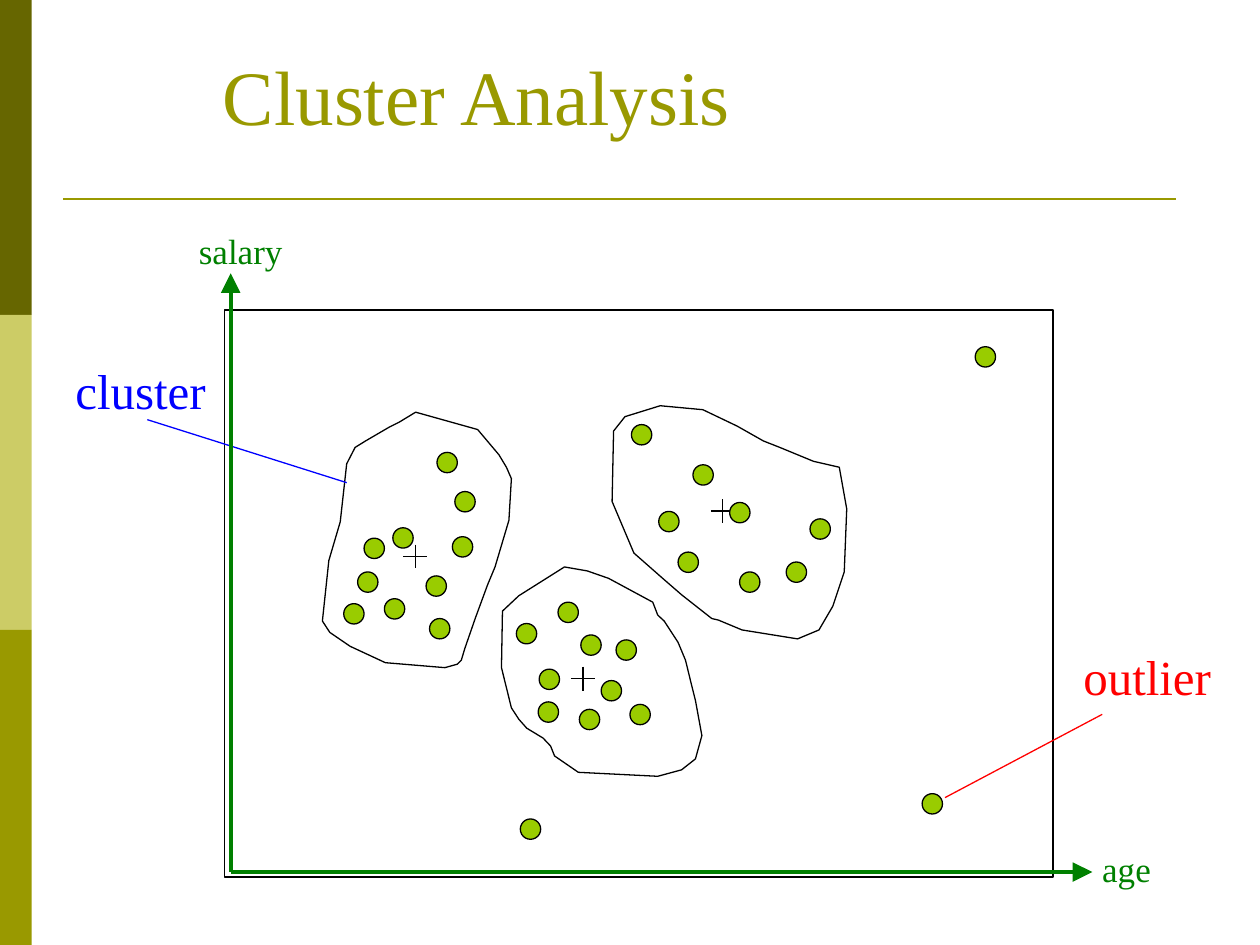
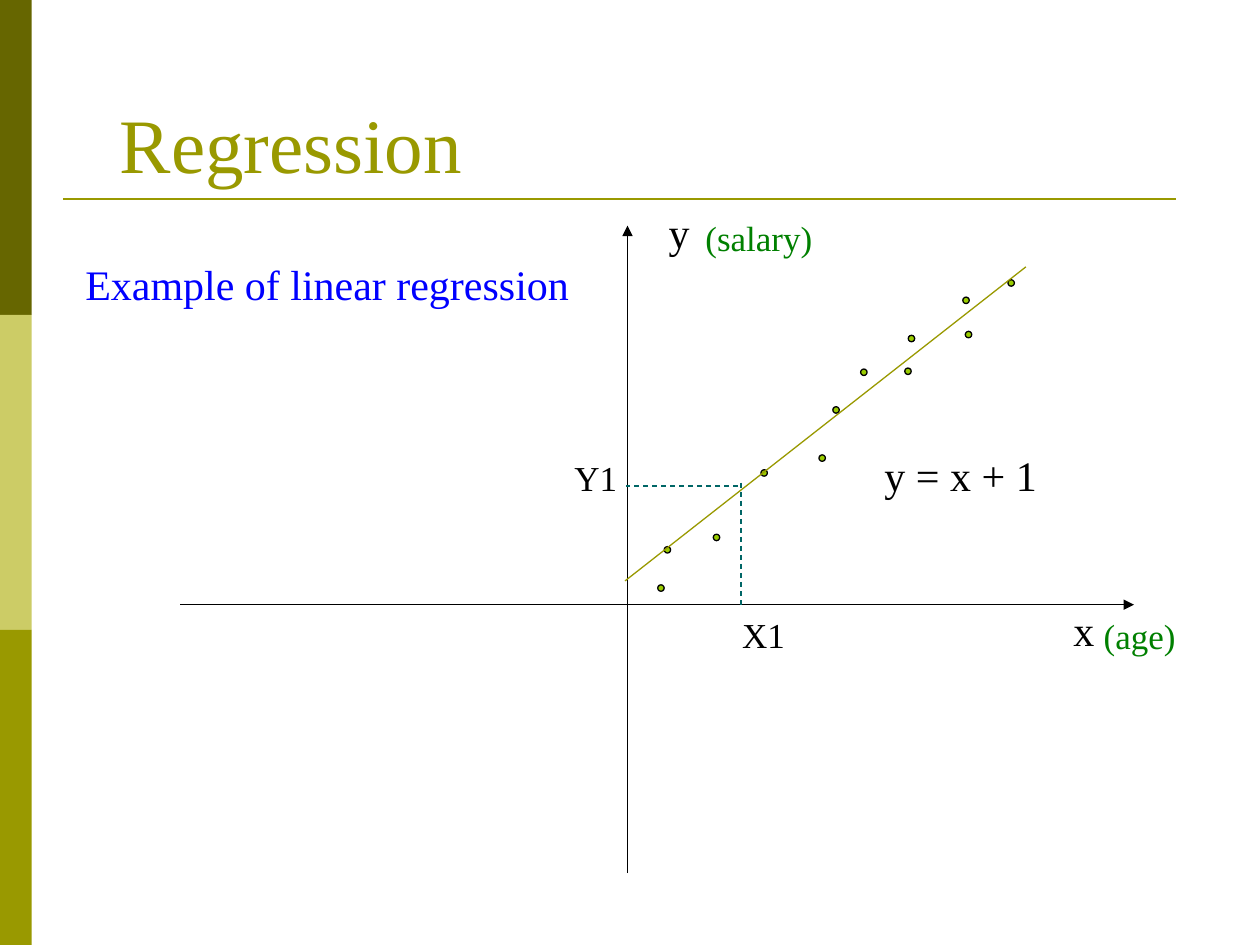
"""Build two data-mining slides: cluster analysis and linear regression."""
import pptx
import pptx.util
import pptx.dml.color
import pptx.enum.dml
import pptx.enum.shapes
import pptx.enum.text
import pptx.oxml

Cm = pptx.util.Cm
Pt = pptx.util.Pt
RGBColor = pptx.dml.color.RGBColor
SHAPE = pptx.enum.shapes.MSO_SHAPE

DARK_OLIVE = RGBColor(0x66, 0x66, 0x00)
PALE_OLIVE = RGBColor(0xCC, 0xCC, 0x66)
OLIVE = RGBColor(0x99, 0x99, 0x00)
LIME = RGBColor(0x99, 0xCC, 0x00)
GREEN = RGBColor(0x00, 0x80, 0x00)
TEAL = RGBColor(0x00, 0x66, 0x66)
BLUE = RGBColor(0x00, 0x00, 0xFF)
RED = RGBColor(0xFF, 0x00, 0x00)
BLACK = RGBColor(0x00, 0x00, 0x00)

FONT = "Times New Roman"
DRAWING = 'xmlns:a="http://schemas.openxmlformats.org/drawingml/2006/main"'
THIN = 0.75
BAND_W, BAND_H = 0.64, 6.35
POINT_SIZE, SAMPLE_SIZE = 0.41, 0.13
CROSS_ARM = 0.24

LEFT_POINTS = [
    (7.75, 12.07), (7.21, 11.53), (8.59, 11.61), (7.92, 10.64), (6.93, 12.17),
    (7.34, 10.85), (8.66, 12.47), (9.12, 10.82), (9.17, 9.91), (8.81, 9.12)]
RIGHT_POINTS = [
    (13.97, 9.37), (13.67, 11.13), (14.71, 10.13), (13.28, 10.31),
    (16.33, 10.46), (15.85, 11.33), (14.91, 11.53), (12.73, 8.56)]
MIDDLE_POINTS = [
    (10.41, 12.57), (12.42, 12.9), (11.68, 14.3), (12.12, 13.72), (10.87, 13.49),
    (10.85, 14.15), (11.25, 12.14), (11.71, 12.8), (12.7, 14.2)]
OUTLIERS = [(18.59, 16), (10.49, 16.51), (19.66, 6.99)]

LEFT_OUTLINE = [
    (9.83, 11.79), (9.58, 12.47), (9.37, 13.08), (9.3, 13.31), (9.22, 13.39),
    (8.97, 13.46), (7.77, 13.36), (7.06, 13.03), (6.65, 12.75), (6.5, 12.52),
    (6.63, 11.3), (6.86, 10.52), (6.99, 9.35), (7.16, 9.02), (7.37, 8.89),
    (7.85, 8.61), (8.05, 8.51), (8.38, 8.31), (9.63, 8.66), (10.06, 9.17),
    (10.21, 9.42), (10.31, 9.65), (10.26, 10.49), (9.98, 11.43)]
RIGHT_OUTLINE = [
    (16.92, 9.42), (17.07, 10.26), (17.02, 11.53), (16.79, 12.22), (16.51, 12.7),
    (16.08, 12.88), (14.96, 12.7), (14.48, 12.5), (14.35, 12.47), (13.74, 11.99),
    (13.36, 11.66), (12.78, 11.15), (12.34, 10.11), (12.37, 8.69), (12.6, 8.4),
    (13.31, 8.18), (14.17, 8.26), (14.86, 8.59), (15.39, 8.89), (15.72, 9.02),
    (16.4, 9.3)]
MIDDLE_OUTLINE = [
    (11.1, 15.04), (10.95, 14.88), (10.62, 14.68), (10.46, 14.5), (10.31, 14.27),
    (10.11, 13.46), (10.13, 12.32), (10.46, 12.01), (11.38, 11.43), (11.84, 11.51),
    (12.27, 11.66), (13.16, 12.14), (13.26, 12.4), (13.39, 12.52), (13.67, 12.95),
    (13.82, 13.31), (13.92, 13.72), (14.02, 14.12), (14.15, 14.83), (14.02, 15.3),
    (13.74, 15.52), (13.26, 15.65), (11.66, 15.57), (11.18, 15.24)]

CLUSTERS = [
    (LEFT_POINTS, LEFT_OUTLINE, (8.37, 11.22)),
    (RIGHT_POINTS, RIGHT_OUTLINE, (14.57, 10.3)),
    (MIDDLE_POINTS, MIDDLE_OUTLINE, (11.75, 13.68))]

SAMPLES = [
    (16.51, 9.17), (15.34, 9.47), (14.38, 10.77), (16.79, 8.2), (17.35, 7.44),
    (13.39, 11.02), (18.24, 7.42), (18.31, 6.76), (19.46, 6.68), (13.26, 11.79),
    (19.41, 5.99), (20.32, 5.64)]


def style_shape(sp, fill=None, line=None):
    """Give a shape a plain fill and line, or none, and no shadow."""
    sp.shadow.inherit = False
    if fill is None:
        sp.fill.background()
    else:
        sp.fill.solid()
        sp.fill.fore_color.rgb = fill
    if line is None:
        sp.line.fill.background()
    else:
        sp.line.color.rgb = line
        sp.line.width = Pt(THIN)


def add_box(s, kind, x, y, w, h, fill=None, line=None):
    """Add a preset shape."""
    sp = s.shapes.add_shape(kind, Cm(x), Cm(y), Cm(w), Cm(h))
    style_shape(sp, fill, line)


def add_dots(s, kind, places, size):
    """Add equal data points at their top left corners."""
    for x, y in places:
        add_box(s, kind, x, y, size, size, LIME, BLACK)


def add_line(s, start, end, color, width=THIN, arrow=None, dashed=False):
    """Add a straight line, with an arrowhead of the given size at its end."""
    cn = s.shapes.add_connector(
        pptx.enum.shapes.MSO_CONNECTOR.STRAIGHT,
        Cm(start[0]), Cm(start[1]), Cm(end[0]), Cm(end[1]))
    cn.line.color.rgb = color
    cn.line.width = Pt(width)
    if dashed:
        cn.line.dash_style = pptx.enum.dml.MSO_LINE.DASH
    if arrow:
        cn.line._get_or_add_ln().append(pptx.oxml.parse_xml(
            f'<a:tailEnd {DRAWING} type="triangle" w="{arrow}" len="{arrow}"/>'))
    cn._element.spPr.append(pptx.oxml.parse_xml(f"<a:effectLst {DRAWING}/>"))


def add_cross(s, x, y):
    """Mark a cluster centre with a plus sign."""
    add_line(s, (x - CROSS_ARM, y), (x + CROSS_ARM, y), BLACK)
    add_line(s, (x, y - CROSS_ARM), (x, y + CROSS_ARM), BLACK)


def add_outline(s, points):
    """Draw the closed border of a cluster."""
    corners = [(Cm(x), Cm(y)) for x, y in points]
    fb = s.shapes.build_freeform(*corners[0])
    fb.add_line_segments(corners[1:], close=True)
    style_shape(fb.convert_to_shape(), line=BLACK)


def format_text(tf, text, size, color):
    """Fill a text frame with one left-aligned line."""
    tf.text = text
    p = tf.paragraphs[0]
    p.alignment = pptx.enum.text.PP_ALIGN.LEFT
    font = p.runs[0].font
    font.name = FONT
    font.size = Pt(size)
    font.color.rgb = color


def add_label(s, text, x, y, w, h, size, color):
    """Add a one-line label."""
    tf = s.shapes.add_textbox(Cm(x), Cm(y), Cm(w), Cm(h)).text_frame
    tf.word_wrap = False
    format_text(tf, text, size, color)


def new_slide(prs, title, x, y, w, h):
    """Add a slide with the side bands, the rule and a title."""
    s = prs.slides.add_slide(prs.slide_layouts[5])
    for i, color in enumerate((DARK_OLIVE, PALE_OLIVE, OLIVE)):
        add_box(s, SHAPE.RECTANGLE, 0, i * BAND_H, BAND_W, BAND_H, color)
    add_line(s, (1.27, 4.01), (23.7, 4.01), OLIVE, 1.5)
    sp = s.shapes.title
    sp.left, sp.top, sp.width, sp.height = Cm(x), Cm(y), Cm(w), Cm(h)
    tf = sp.text_frame
    tf.auto_size = pptx.enum.text.MSO_AUTO_SIZE.NONE
    tf.vertical_anchor = pptx.enum.text.MSO_ANCHOR.BOTTOM
    format_text(tf, title, 44, OLIVE)
    return s


def cluster_slide(prs):
    """Build the scatter of clusters and outliers."""
    s = new_slide(prs, "Cluster Analysis", 4.24, 1.27, 12.07, 1.7)
    add_box(s, SHAPE.RECTANGLE, 4.52, 6.25, 16.71, 11.43, line=BLACK)
    for points, outline, centre in CLUSTERS:
        add_cross(s, *centre)
        add_dots(s, SHAPE.FLOWCHART_CONNECTOR, points, POINT_SIZE)
        add_outline(s, outline)
    add_dots(s, SHAPE.FLOWCHART_CONNECTOR, OUTLIERS, POINT_SIZE)
    add_line(s, (2.97, 8.46), (6.99, 9.73), BLUE)
    add_label(s, "cluster", 1.27, 7.14, 3.15, 1.45, 28, BLUE)
    add_line(s, (19.05, 16.08), (22.22, 14.4), RED)
    add_label(s, "outlier", 21.59, 12.9, 3.1, 1.45, 28, RED)
    origin = (4.65, 17.58)
    for end in ((4.65, 5.51), (22.02, 17.58)):
        add_line(s, origin, end, GREEN, 2.25, arrow="lg")
    add_label(s, "salary", 3.76, 4.5, 2.21, 1.09, 20, GREEN)
    add_label(s, "age", 21.97, 16.97, 1.5, 1.09, 20, GREEN)


def regression_slide(prs):
    """Build the linear regression example."""
    s = new_slide(prs, "Regression", 2.16, 0.76, 14.07, 3.18)
    add_line(s, (3.63, 12.19), (22.86, 12.19), BLACK, arrow="med")
    add_line(s, (12.65, 17.6), (12.65, 4.55), BLACK, arrow="med")
    add_dots(s, SHAPE.OVAL, SAMPLES, SAMPLE_SIZE)
    add_line(s, (12.6, 11.71), (20.68, 5.38), OLIVE)
    add_line(s, (14.94, 9.73), (14.94, 12.24), TEAL, dashed=True)
    add_line(s, (14.88, 9.8), (12.62, 9.8), TEAL, dashed=True)
    add_label(s, "x", 21.39, 12.07, 0.91, 1.27, 24, BLACK)
    add_label(s, "y", 13.23, 4.04, 0.91, 1.27, 24, BLACK)
    add_label(s, "y = x + 1", 17.58, 8.94, 3.58, 1.27, 24, BLACK)
    add_label(s, "X1", 14.71, 12.24, 1.37, 1.12, 20, BLACK)
    add_label(s, "Y1", 11.33, 9.07, 1.37, 1.12, 20, BLACK)
    add_label(s, "(salary)", 13.97, 4.24, 2.67, 1.09, 20, GREEN)
    add_label(s, "(age)", 22, 12.27, 1.96, 1.09, 20, GREEN)
    add_label(s, "Example of linear regression", 1.47, 5.08, 10.26, 1.27, 24, BLUE)


def main():
    """Build and save the slides."""
    prs = pptx.Presentation()
    prs.slide_width, prs.slide_height = Cm(25.4), Cm(19.05)
    cluster_slide(prs)
    regression_slide(prs)
    prs.save("out.pptx")


if __name__ == "__main__":
    main()
